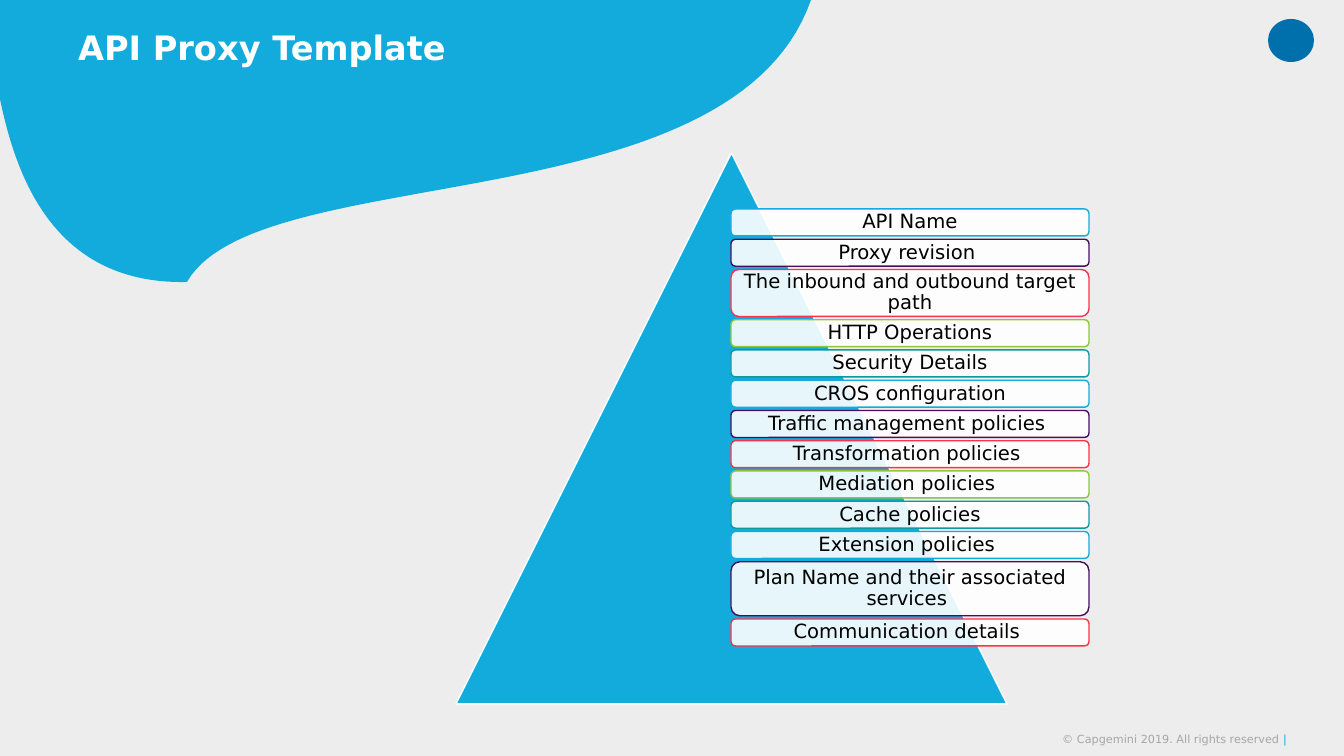
from dataclasses import dataclass

from lxml import etree
from pptx import Presentation
from pptx import util as u
from pptx.dml.color import RGBColor
from pptx.enum import shapes, text
from pptx.oxml import ns

# Content
TITLE = "API Proxy Template"
FOOTER = "© Capgemini 2019. All rights reserved "
FOOTER_MARK = "|"
ROW_HEIGHT = 27
ROWS = [  # label, height in px
    ("API Name", ROW_HEIGHT),
    ("Proxy revision ", ROW_HEIGHT),
    ("The inbound and outbound target path", 47),
    ("HTTP Operations", ROW_HEIGHT),
    ("Security Details", ROW_HEIGHT),
    ("CROS configuration", ROW_HEIGHT),
    ("Traffic management policies ", ROW_HEIGHT),
    ("Transformation policies ", ROW_HEIGHT),
    ("Mediation policies ", ROW_HEIGHT),
    ("Cache policies", ROW_HEIGHT),
    ("Extension policies ", ROW_HEIGHT),
    ("Plan Name and their associated services ", 54),
    ("Communication details ", ROW_HEIGHT),
]

# Geometry in px
SLIDE_SIZE = (1344, 756)
TITLE_BOX = (48, 3, 670, 90)
FOOTER_BOX = (994, 733, 293, 13)
EMBLEM_BOX = (1268, 19, 46, 43)
TRIANGLE_BOX = (456, 153, 551, 551)
STACK_LEFT, STACK_WIDTH = 731, 358
STACK_TOP, STACK_BOTTOM = 209, 646
BLOB_START = (811, 0)
BLOB_CORNERS = [(0, 0), (0, 99)]
BLOB_CURVES = [  # two control points and an end point
    ((15, 170), (50, 285), (187, 282)),
    ((258, 158), (732, 226), (811, 0)),
]
CURVE_STEPS = 60


@dataclass(frozen=True)
class Theme:
    font: str = "DejaVu Sans"
    background: str = "EDEDED"
    blue: str = "12ABDB"
    emblem: str = "0070AD"
    white: str = "FFFFFF"
    black: str = "000000"
    grey: str = "A6A6A6"
    outlines: tuple = ("12ABDB", "431060", "FF304C", "8EC63E", "0F999C")
    title_size: int = 24
    row_size: int = 14
    footer_size: int = 8
    row_opacity: int = 90


THEME = Theme()


def px(length):
    return round(length * u.Inches(1) / 100.8)


def rgb(colour):
    return RGBColor.from_string(colour)


def paint(shape, fill, line=None):
    shape.shadow.inherit = False
    shape.fill.solid()
    shape.fill.fore_color.rgb = rgb(fill)
    if line:
        shape.line.color.rgb = rgb(line)
        shape.line.width = u.Pt(1)
    else:
        shape.line.fill.background()


def add_preset(slide, kind, box, fill, line=None):
    shape = slide.shapes.add_shape(kind, *map(px, box))
    paint(shape, fill, line)
    return shape


def set_text(shape, pieces, size, alignment, insets, bold=False, line_spacing=None):
    """Write one paragraph from (text, colour) pieces."""
    frame = shape.text_frame
    frame.word_wrap = True
    frame.vertical_anchor = text.MSO_ANCHOR.MIDDLE
    frame.margin_left, frame.margin_top, frame.margin_right, frame.margin_bottom = map(px, insets)
    paragraph = frame.paragraphs[0]
    paragraph.alignment = alignment
    paragraph.line_spacing = line_spacing
    for wording, colour in pieces:
        run = paragraph.add_run()
        run.text = wording
        run.font.name = THEME.font
        run.font.size = u.Pt(size)
        run.font.bold = bold
        run.font.color.rgb = rgb(colour)


def set_opacity(shape, percent):
    colour = shape.fill._xPr.find(".//" + ns.qn("a:srgbClr"))
    etree.SubElement(colour, ns.qn("a:alpha")).set("val", str(percent * 1000))


def curve_points(start, first, second, end):
    for step in range(1, CURVE_STEPS + 1):
        t = step / CURVE_STEPS
        weights = ((1 - t) ** 3, 3 * t * (1 - t) ** 2, 3 * t * t * (1 - t), t ** 3)
        yield tuple(sum(w * point[axis] for w, point in zip(weights, (start, first, second, end)))
                    for axis in (0, 1))


def add_blob(slide):
    points = list(BLOB_CORNERS)
    for curve in BLOB_CURVES:
        points.extend(curve_points(points[-1], *curve))
    builder = slide.shapes.build_freeform(*map(px, BLOB_START))
    builder.add_line_segments([(px(x), px(y)) for x, y in points], close=True)
    paint(builder.convert_to_shape(), THEME.blue)


def add_stack(slide):
    heights = [height for _, height in ROWS]
    gap = (STACK_BOTTOM - STACK_TOP - sum(heights)) / (len(ROWS) - 1)
    top = STACK_TOP
    for index, (label, height) in enumerate(ROWS):
        outline = THEME.outlines[index % len(THEME.outlines)]
        row = add_preset(slide, shapes.MSO_SHAPE.ROUNDED_RECTANGLE,
                         (STACK_LEFT, top, STACK_WIDTH, height), THEME.white, outline)
        set_opacity(row, THEME.row_opacity)
        set_text(row, [(label, THEME.black)], THEME.row_size, text.PP_ALIGN.CENTER,
                 (6, 6, 6, 6), line_spacing=0.9)
        top += height + gap


def main():
    presentation = Presentation()
    presentation.slide_width, presentation.slide_height = map(px, SLIDE_SIZE)
    slide = presentation.slides.add_slide(presentation.slide_layouts[6])
    slide.background.fill.solid()
    slide.background.fill.fore_color.rgb = rgb(THEME.background)

    # Backdrop and emblem
    add_preset(slide, shapes.MSO_SHAPE.OVAL, EMBLEM_BOX, THEME.emblem)
    add_blob(slide)

    # Footer and title
    footer = slide.shapes.add_textbox(*map(px, FOOTER_BOX))
    set_text(footer, [(FOOTER, THEME.grey), (FOOTER_MARK, THEME.blue)],
             THEME.footer_size, text.PP_ALIGN.RIGHT, (0, 0, 0, 0))
    title = slide.shapes.add_textbox(*map(px, TITLE_BOX))
    set_text(title, [(TITLE, THEME.white)], THEME.title_size, text.PP_ALIGN.LEFT,
             (30, 4, 0, 0), bold=True, line_spacing=0.9)

    # Pyramid list
    add_preset(slide, shapes.MSO_SHAPE.ISOSCELES_TRIANGLE, TRIANGLE_BOX, THEME.blue, THEME.white)
    add_stack(slide)

    presentation.save("out.pptx")


if __name__ == "__main__":
    main()
